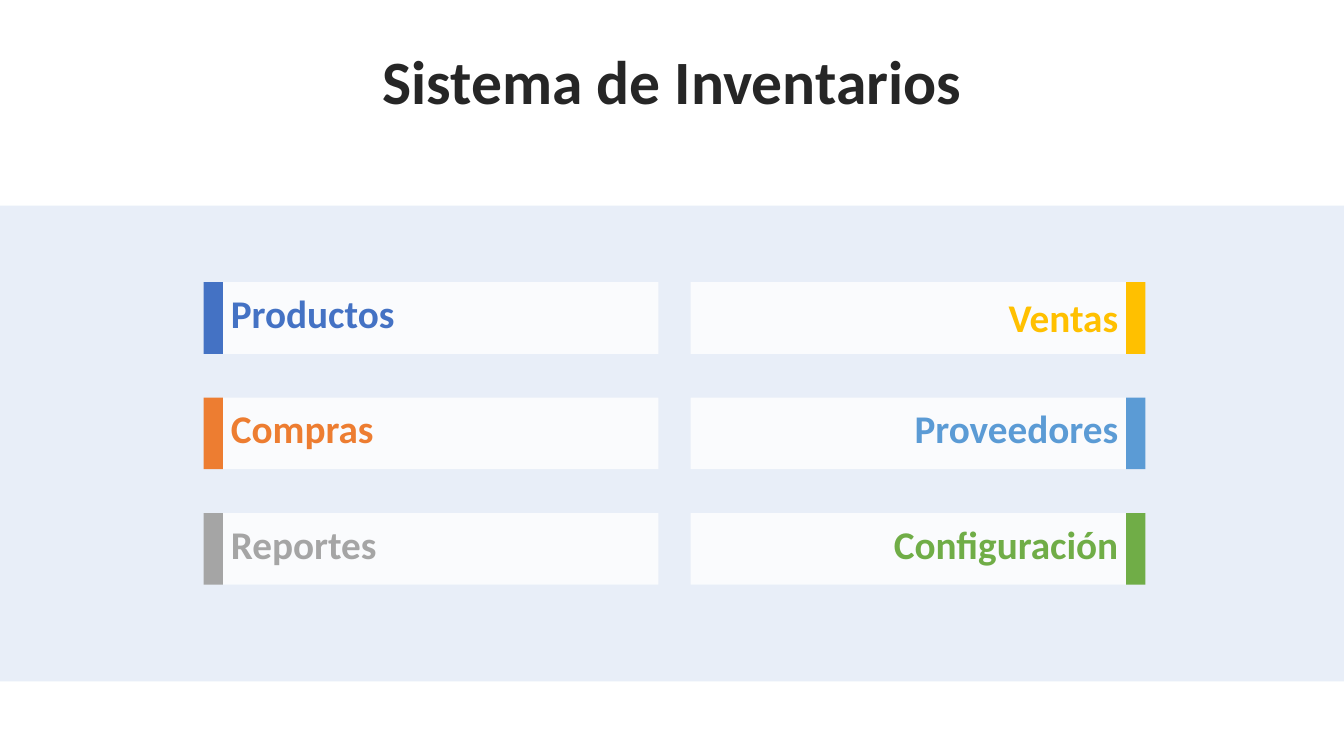
from typing import NamedTuple

from lxml import etree
from pptx import Presentation
from pptx import util as u
from pptx.dml.color import RGBColor
from pptx.enum import shapes, text
from pptx.oxml import ns

HUES = {
    "ink": "262626", "band": "E8EEF8", "white": "FFFFFF",
    "blue": "4472C4", "orange": "ED7D31", "gray": "A5A5A5",
    "gold": "FFC000", "sky": "5B9BD5", "green": "70AD47",
}
FONT = "Calibri"
TOP, STEP, TALL = 2.8, 1.145, 0.71
WIDE, TAB, PAD, TEXT = 4.32, 0.19, 0.08, 4.02
LEFT, RIGHT = 2.21, 6.85


class Item(NamedTuple):
    name: str
    hue: str
    col: int
    row: int
    drop: float = 0.07


ITEMS = [
    Item("Productos", "blue", 0, 0),
    Item("Compras", "orange", 0, 1),
    Item("Reportes", "gray", 0, 2),
    Item("Ventas", "gold", 1, 0, 0.11),
    Item("Proveedores", "sky", 1, 1),
    Item("Configuración", "green", 1, 2),
]


def box(home, hue: str, x: float, y: float, w: float, h: float, alpha: int = 100):
    rect = home.add_shape(shapes.MSO_SHAPE.RECTANGLE,
                          u.Inches(x), u.Inches(y), u.Inches(w), u.Inches(h))
    rect.shadow.inherit = False
    rect.fill.solid()
    rect.fill.fore_color.rgb = RGBColor.from_string(HUES[hue])
    rect.line.fill.background()
    if alpha < 100:
        tint = rect._element.spPr.find(".//" + ns.qn("a:srgbClr"))
        etree.SubElement(tint, ns.qn("a:alpha")).set("val", str(alpha * 1000))
    return rect


def write(frame, words: str, hue: str, size: int, align) -> None:
    frame.margin_left = frame.margin_right = frame.margin_top = frame.margin_bottom = 0
    frame.text = words
    para = frame.paragraphs[0]
    para.alignment = align
    para.font.name = FONT
    para.font.size = u.Pt(size)
    para.font.bold = True
    para.font.color.rgb = RGBColor.from_string(HUES[hue])


def draw(slide, item: Item) -> None:
    y = TOP + item.row * STEP
    if item.col == 0:
        x, tab, label = LEFT, LEFT - TAB, LEFT + PAD
        align = text.PP_ALIGN.LEFT
    else:
        x, tab, label = RIGHT, RIGHT + WIDE, RIGHT + WIDE - PAD - TEXT
        align = text.PP_ALIGN.RIGHT
    group = slide.shapes.add_group_shape()
    box(group.shapes, "white", x, y, WIDE, TALL, 80)
    box(group.shapes, item.hue, tab, y, TAB, TALL)
    area = slide.shapes.add_textbox(u.Inches(label), u.Inches(y + item.drop),
                                    u.Inches(TEXT), u.Inches(0.47))
    area.text_frame.word_wrap = True
    write(area.text_frame, item.name, item.hue, 28, align)


deck = Presentation()
deck.slide_width, deck.slide_height = u.Inches(13.33), u.Inches(7.5)
slide = deck.slides.add_slide(deck.slide_layouts[5])

band = box(slide.shapes, "band", 0, 2.04, 13.33, 4.72)
title = slide.shapes.title
band._element.addnext(title._element)
title.left, title.top = u.Inches(2.56), u.Inches(0.5)
title.width, title.height = u.Inches(8.22), u.Inches(0.67)
write(title.text_frame, "Sistema de Inventarios", "ink", 44, text.PP_ALIGN.CENTER)
title.text_frame.word_wrap = False
title.text_frame.vertical_anchor = text.MSO_ANCHOR.MIDDLE
title.text_frame.paragraphs[0].line_spacing = 0.9

for item in ITEMS:
    draw(slide, item)

deck.save("out.pptx")
